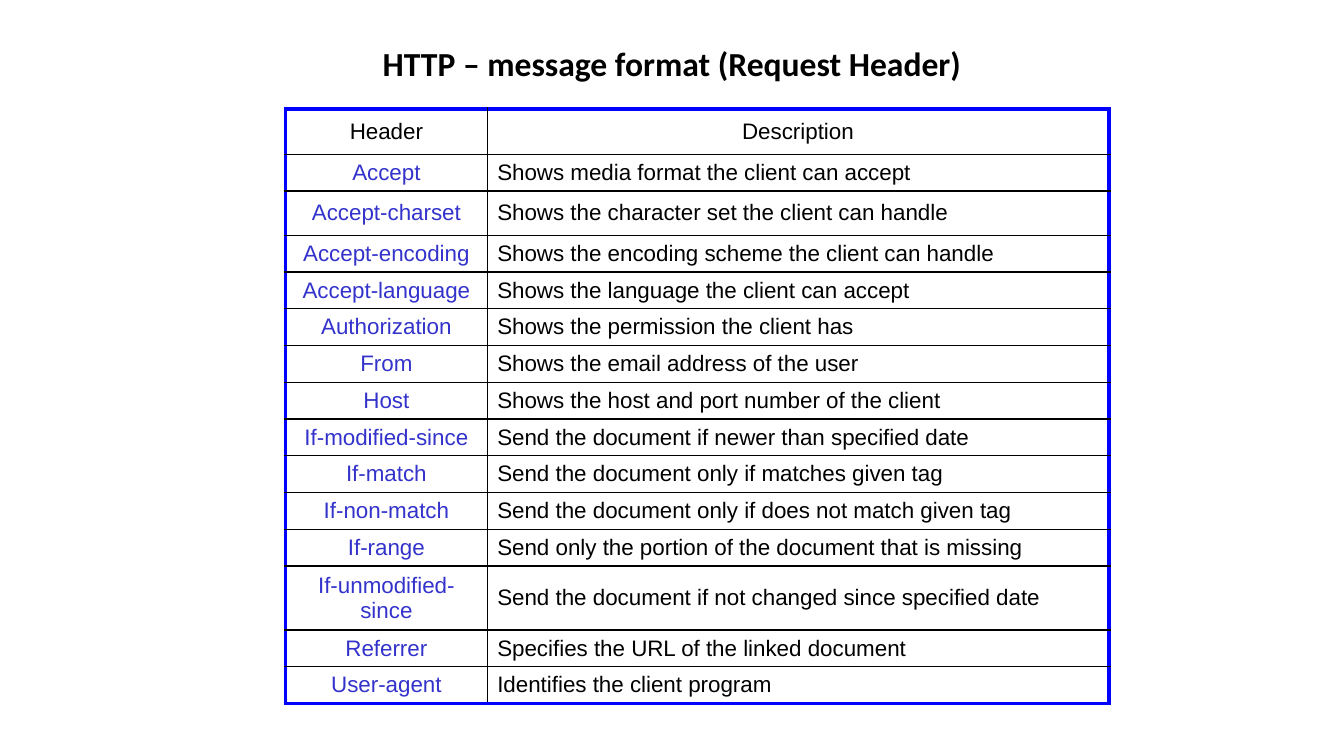
import pptx
import pptx.util
import pptx.dml.color
import pptx.enum.text
import pptx.oxml
import pptx.oxml.ns

PX = 9525  # EMU in one px
RGB = pptx.dml.color.RGBColor
BLACK = RGB(0x00, 0x00, 0x00)
BLUE = RGB(0x00, 0x00, 0xFF)
INDIGO = RGB(0x33, 0x33, 0xCC)
LEFT = pptx.enum.text.PP_ALIGN.LEFT
CENTER = pptx.enum.text.PP_ALIGN.CENTER
MIDDLE = pptx.enum.text.MSO_ANCHOR.MIDDLE
THIN, THICK = 1, 3  # border widths in points

TITLE = "HTTP – message format (Request Header)"
ROWS = [
    ("Header", "Description"),
    ("Accept", "Shows media format the client can accept"),
    ("Accept-charset", "Shows the character set the client can handle"),
    ("Accept-encoding", "Shows the encoding scheme the client can handle"),
    ("Accept-language", "Shows the language the client can accept"),
    ("Authorization", "Shows the permission the client has"),
    ("From", "Shows the email address of the user"),
    ("Host", "Shows the host and port number of the client"),
    ("If-modified-since", "Send the document if newer than specified date"),
    ("If-match", "Send the document only if matches given tag"),
    ("If-non-match", "Send the document only if does not match given tag"),
    ("If-range", "Send only the portion of the document that is missing"),
    ("If-unmodified-since", "Send the document if not changed since specified date"),
    ("Referrer", "Specifies the URL of the linked document"),
    ("User-agent", "Identifies the client program"),
]
COLS = (192, 592)
ROW = 35
TALL = {0: 43, 2: 42, 12: 61}  # rows that differ from ROW


def px(*nums):
    return [pptx.util.Emu(num * PX) for num in nums]


def style(para, color, size, face, bold=False, align=LEFT):
    para.alignment = align
    font = para.font
    look = {"size": pptx.util.Pt(size), "name": face, "bold": bold}
    for key, val in look.items():
        setattr(font, key, val)
    font.color.rgb = color


def edge(cell, side, thick):
    color, width = (BLUE, THICK) if thick else (BLACK, THIN)
    line = pptx.oxml.parse_xml(
        f'<a:ln{side} {pptx.oxml.ns.nsdecls("a")} w="{pptx.util.Pt(width)}">'
        f'<a:solidFill><a:srgbClr val="{color}"/></a:solidFill></a:ln{side}>')
    cell._tc.get_or_add_tcPr().append(line)


def add_title(slide):
    title = slide.shapes.title
    title.left, title.top, title.width, title.height = px(208, 0, 864, 120)
    frame = title.text_frame
    frame.text = TITLE
    frame.vertical_anchor = MIDDLE
    style(frame.paragraphs[0], BLACK, 24, "Calibri", True, CENTER)


def fill_cell(cell, text, row, col):
    cell.text = text
    cell.vertical_anchor = MIDDLE
    color = INDIGO if row and not col else BLACK
    align = LEFT if row and col else CENTER
    style(cell.text_frame.paragraphs[0], color, 16, "Arial", align=align)
    # Thick blue on the outside, thin black inside
    outer = {"L": col == 0, "R": col == len(COLS) - 1,
             "T": row == 0, "B": row == len(ROWS) - 1}
    for side, thick in outer.items():
        edge(cell, side, thick)
    cell.fill.background()


def add_grid(slide):
    highs = [TALL.get(row, ROW) for row in range(len(ROWS))]
    box = px(272, 104, sum(COLS), sum(highs))
    table = slide.shapes.add_table(len(ROWS), len(COLS), *box).table
    table.first_row = table.horz_banding = False
    for col, width in zip(table.columns, px(*COLS)):
        col.width = width
    for row, high in zip(table.rows, px(*highs)):
        row.height = high
    for row, texts in enumerate(ROWS):
        for col, text in enumerate(texts):
            fill_cell(table.cell(row, col), text, row, col)


def main():
    deck = pptx.Presentation()
    deck.slide_width, deck.slide_height = px(1280, 720)
    slide = deck.slides.add_slide(deck.slide_layouts[5])  # title only
    add_title(slide)
    add_grid(slide)
    deck.save("out.pptx")


if __name__ == "__main__":
    main()
